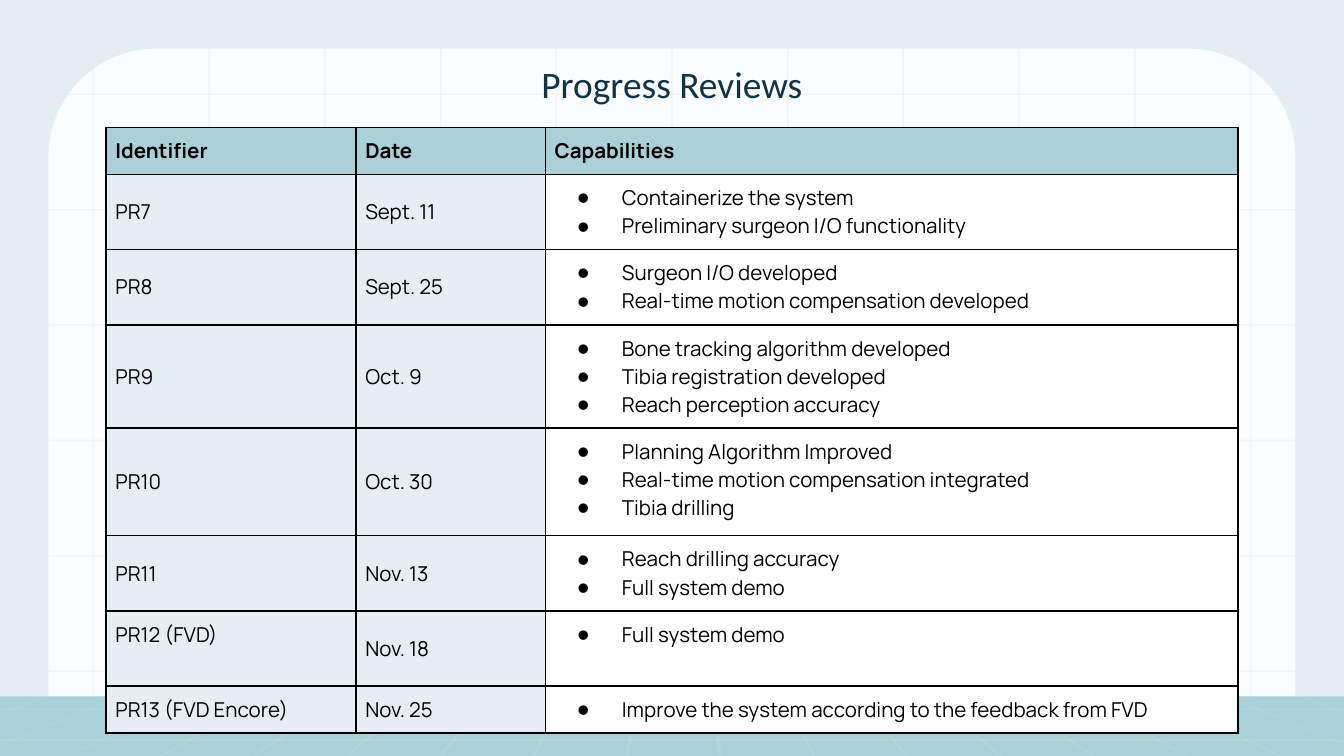
from dataclasses import dataclass

from lxml import etree
from pptx import Presentation
from pptx import util as u
from pptx.dml.color import RGBColor
from pptx.enum import shapes, text
from pptx.oxml import ns

Pt = u.Pt


@dataclass(frozen=True)
class Theme:
    pale: str = "E5EEF3"
    teal: str = "AAD0D8"
    navy: str = "113444"
    white: str = "FFFFFF"
    black: str = "000000"
    title_font: str = "Calibri"
    body_font: str = "Manrope"
    bullet_font: str = "Calibri"
    title_size: int = 20
    body_size: int = 11
    border: float = 1


T = Theme()

HEADER = ["Identifier", "Date", "Capabilities"]
REVIEWS = [
    ("PR7", "Sept. 11", ["Containerize the system",
                         "Preliminary surgeon I/O functionality"]),
    ("PR8", "Sept. 25", ["Surgeon I/O developed",
                         "Real-time motion compensation developed"]),
    ("PR9", "Oct. 9", ["Bone tracking algorithm developed",
                       "Tibia registration developed",
                       "Reach perception accuracy"]),
    ("PR10", "Oct. 30", ["Planning Algorithm Improved",
                         "Real-time motion compensation integrated",
                         "Tibia drilling"]),
    ("PR11", "Nov. 13", ["Reach drilling accuracy", "Full system demo"]),
    ("PR12 (FVD)", "Nov. 18", ["Full system demo"]),
    ("PR13 (FVD Encore)", "Nov. 25",
     ["Improve the system according to the feedback from FVD"]),
]
COLUMNS = [133.9, 101.5, 371]
ROWS = [25.2, 40.2, 40.4, 55.2, 57.8, 40.3, 40.3, 25.2]
TOP_ANCHORED = "PR12 (FVD)"


def sub(parent, tag, **attrs):
    return etree.SubElement(parent, ns.qn(tag), attrs)


def paint(sp, color, alpha=100):
    sp.shadow.inherit = False
    sp.line.fill.background()
    sp.fill.solid()
    sp.fill.fore_color.rgb = RGBColor.from_string(color)
    if alpha < 100:
        clr = sp._element.spPr.find(".//" + ns.qn("a:srgbClr"))
        sub(clr, "a:alpha", val=str(alpha * 1000))


def block(s, x, y, w, h, color, alpha=100, kind=shapes.MSO_SHAPE.RECTANGLE):
    sp = s.shapes.add_shape(kind, Pt(x), Pt(y), Pt(w), Pt(h))
    paint(sp, color, alpha)
    return sp


def style(p, font, size, color, bold=False):
    p.font.name = font
    p.font.size = Pt(size)
    p.font.bold = bold
    p.font.color.rgb = RGBColor.from_string(color)


def add_wall(s, x, y, w, h):
    """Rounded panel with a square grid centred across it."""
    panel = block(s, x, y, w, h, T.white, 80,
                  shapes.MSO_SHAPE.ROUND_2_SAME_RECTANGLE)
    panel.adjustments[0] = 0.167
    panel.adjustments[1] = 0
    step, line = 62, 0.75
    for i in range(6):
        block(s, x, y + 24.2 + i * 61.8, w, line, T.pale, 49)
    for i in range(-5, 6):
        block(s, x + w / 2 + i * step - line / 2, y, line, h, T.pale, 49)


def add_floor(s, x, y, w, h):
    """Teal floor with tile joints fanning out from the centre."""
    block(s, x, y, w, h, T.teal)
    top_step, bottom_step, joint = 39.4, 50, 2
    quads = []
    for i in range(-9, 9):
        top = w / 2 + (i + 0.5) * top_step
        bottom = w / 2 + (i + 0.5) * bottom_step
        end = min(max(bottom, 0), w - joint)
        depth = h * (end - top) / (bottom - top)
        quads.append([(top, 0), (top + joint, 0),
                      (end + joint, depth), (end, depth)])
    quads = [[(Pt(x + a), Pt(y + b)) for a, b in q] for q in quads]
    fb = s.shapes.build_freeform(*quads[0][0], scale=1.0)
    for q in quads:
        if q is not quads[0]:
            fb.move_to(*q[0])
        fb.add_line_segments(q[1:], close=True)
    paint(fb.convert_to_shape(), T.white, 9)
    for offset in (6.5, 23):
        block(s, x, y + offset, w, 1.2, T.white, 9)


def add_title(s, x, y, w, h, words):
    tf = s.shapes.add_textbox(Pt(x), Pt(y), Pt(w), Pt(h)).text_frame
    tf.word_wrap = True
    tf.margin_left = tf.margin_right = Pt(7.2)
    tf.margin_top = tf.margin_bottom = Pt(7.2)
    p = tf.paragraphs[0]
    p.text = words
    p.alignment = text.PP_ALIGN.CENTER
    style(p, T.title_font, T.title_size, T.navy)


def add_bullet(p):
    pPr = p._p.get_or_add_pPr()
    pPr.set("marL", str(Pt(36)))
    pPr.set("indent", str(-Pt(24)))
    sub(sub(pPr, "a:buClr"), "a:srgbClr", val=T.black)
    sub(pPr, "a:buFont", typeface=T.bullet_font)
    sub(pPr, "a:buChar", char="●")


def fill_cell(cell, lines, color, bold=False, bullets=False, middle=False):
    tcPr = cell._tc.get_or_add_tcPr()
    for side in "LRTB":
        ln = sub(tcPr, "a:ln" + side, w=str(Pt(T.border)))
        sub(sub(ln, "a:solidFill"), "a:srgbClr", val=T.black)
    cell.fill.solid()
    cell.fill.fore_color.rgb = RGBColor.from_string(color)
    cell.margin_left = cell.margin_right = Pt(5)
    cell.margin_top = cell.margin_bottom = Pt(5)
    anchor = text.MSO_ANCHOR
    cell.vertical_anchor = anchor.MIDDLE if middle else anchor.TOP
    tf = cell.text_frame
    for i, line in enumerate(lines):
        p = tf.add_paragraph() if i else tf.paragraphs[0]
        p.text = line
        if bullets:
            add_bullet(p)
        style(p, T.body_font, T.body_size, T.black, bold)


def add_reviews(s, x, y):
    tbl = s.shapes.add_table(len(ROWS), len(COLUMNS), Pt(x), Pt(y),
                             Pt(sum(COLUMNS)), Pt(sum(ROWS))).table
    tbl.first_row = tbl.horz_banding = False
    for col, width in zip(tbl.columns, COLUMNS):
        col.width = Pt(width)
    for row, height in zip(tbl.rows, ROWS):
        row.height = Pt(height)
    for c, label in enumerate(HEADER):
        fill_cell(tbl.cell(0, c), [label], T.teal, bold=True)
    for r, (name, date, capabilities) in enumerate(REVIEWS, 1):
        fill_cell(tbl.cell(r, 0), [name], T.pale, middle=name != TOP_ANCHORED)
        fill_cell(tbl.cell(r, 1), [date], T.pale, middle=True)
        fill_cell(tbl.cell(r, 2), capabilities, T.white, bullets=True)


def main():
    prs = Presentation()
    prs.slide_width, prs.slide_height = Pt(720), Pt(405)
    s = prs.slides.add_slide(prs.slide_layouts[6])
    s.background.fill.solid()
    s.background.fill.fore_color.rgb = RGBColor.from_string(T.pale)
    # Backdrop
    add_wall(s, 26, 26, 668, 347)
    add_floor(s, 0, 373, 720, 32)
    # Content
    add_title(s, 56.7, 25.5, 606.6, 46, "Progress Reviews")
    add_reviews(s, 56.8, 68.2)
    prs.save("out.pptx")


if __name__ == "__main__":
    main()
